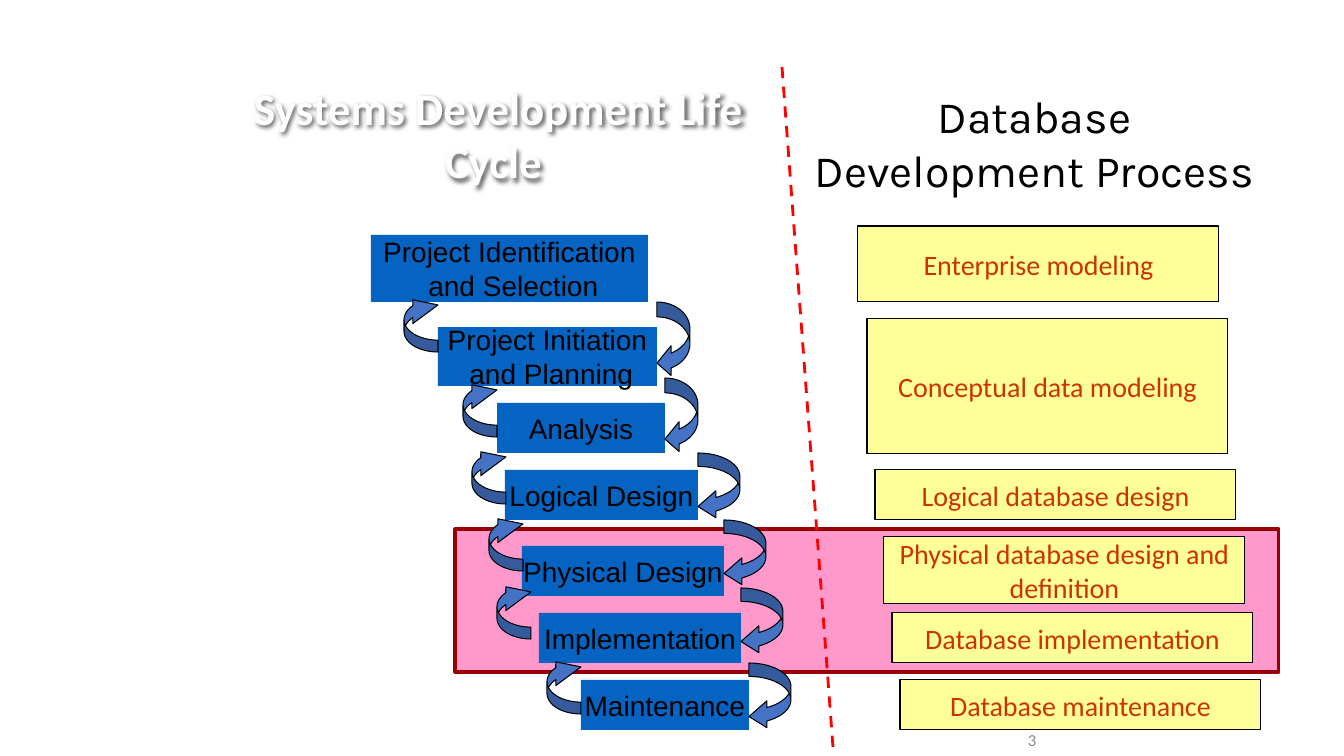
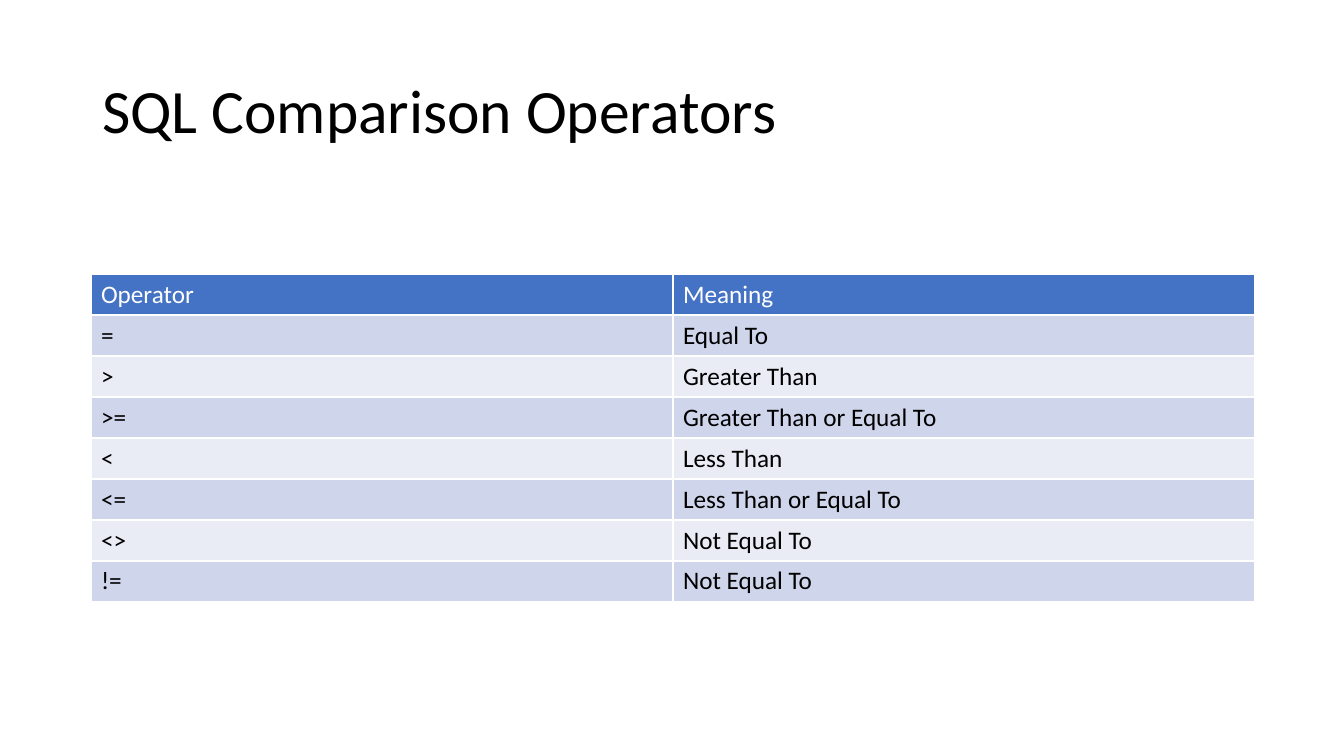
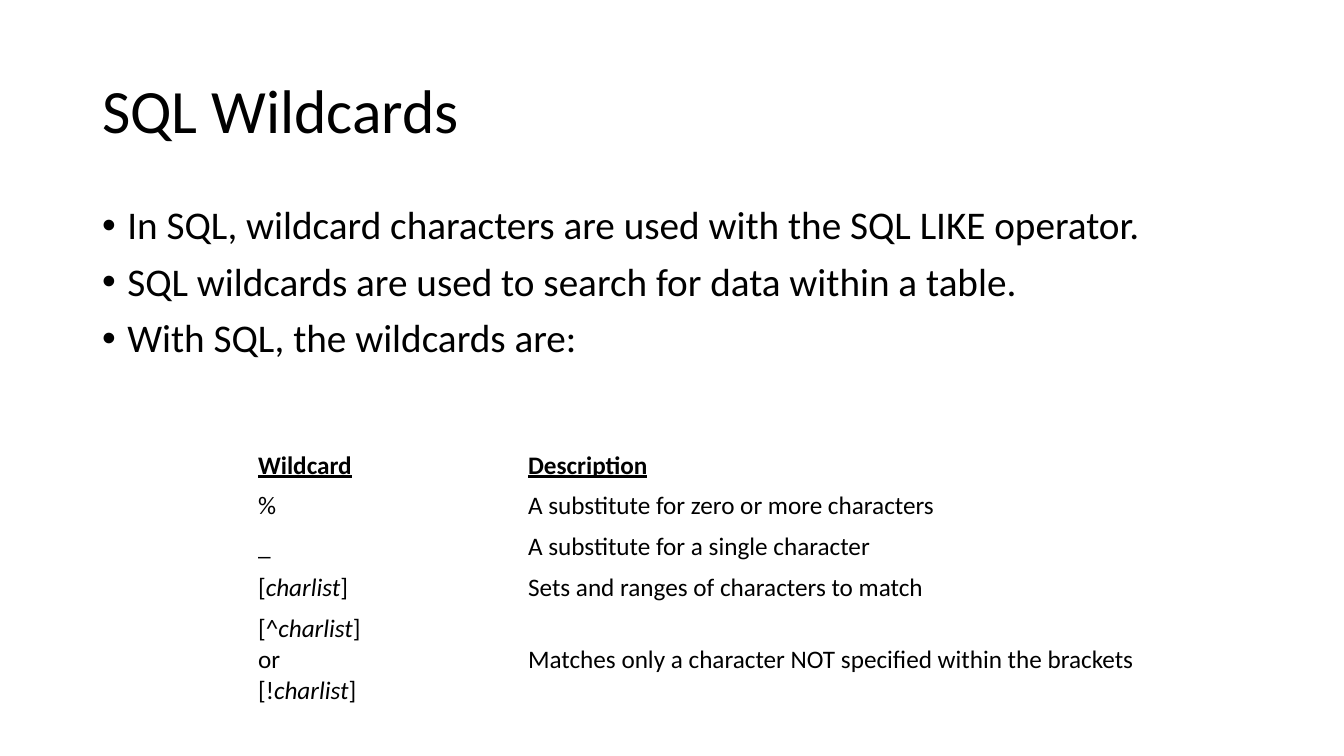
from lxml import etree
from pptx import Presentation
from pptx.dml.color import RGBColor
from pptx.enum.dml import MSO_LINE
from pptx.enum.shapes import MSO_CONNECTOR, MSO_SHAPE
from pptx.enum.text import MSO_ANCHOR, MSO_AUTO_SIZE, PP_ALIGN
from pptx.oxml.ns import qn
from pptx.util import Emu, Pt

PIXEL = 914400 / 100.8
COLORS = {
    "black": "000000", "white": "FFFFFF", "heading": "FEFEFE", "grey": "8C8C8C",
    "step": "0563C1", "arrow": "4472C4", "band": "FF99CC", "band_edge": "990000",
    "model": "FFFF99", "model_text": "CC3300", "divider": "FF0000",
    "header": "4472C4", "odd_row": "CFD5EA", "even_row": "E9EBF5",
}
RGB = {name: RGBColor.from_string(value) for name, value in COLORS.items()}

TITLE = {"name": "Calibri", "size": Pt(44), "color": "black"}
LIST = {**TITLE, "size": Pt(28)}
CELL = {**TITLE, "size": Pt(18), "bold": False}
CYCLE = {"name": "Calibri", "size": Pt(32), "bold": True, "color": "heading"}
PROCESS = {"name": "Karla", "size": Pt(32), "color": "black"}
STEP = {"name": "Arial", "size": Pt(20), "color": "black"}
MODEL = {"name": "Calibri", "size": Pt(20), "color": "model_text"}
NUMBER = {"name": "Calibri", "size": Pt(12), "color": "grey"}

CENTER = {"alignment": PP_ALIGN.CENTER}
TIGHT = {"alignment": PP_ALIGN.LEFT, "line_spacing": 0.9}
MIDDLE = {"vertical_anchor": MSO_ANCHOR.MIDDLE, "word_wrap": True,
          "auto_size": MSO_AUTO_SIZE.NONE}
BOTTOM = {**MIDDLE, "vertical_anchor": MSO_ANCHOR.BOTTOM}
TOP = {**MIDDLE, "vertical_anchor": MSO_ANCHOR.TOP}
UNWRAPPED = {**MIDDLE, "word_wrap": False}


def px(*lengths):
    """Turn pixel lengths into a list of EMU lengths."""
    return [Emu(round(length * PIXEL)) for length in lengths]


def write(frame, text, font, paragraph_format, frame_format):
    """Fill a frame: \\n parts paragraphs, \\v parts lines, * encloses italics."""
    for key, value in frame_format.items():
        setattr(frame, key, value)
    for number, content in enumerate(text.split("\n")):
        paragraph = frame.add_paragraph() if number else frame.paragraphs[0]
        for key, value in paragraph_format.items():
            setattr(paragraph, key, value)
        for row, line in enumerate(content.split("\v")):
            if row:
                paragraph.add_line_break()
            for part, words in enumerate(line.split("*")):
                if not words:
                    continue
                run = paragraph.add_run()
                run.text = words
                for key, value in font.items():
                    if key == "color":
                        run.font.color.rgb = RGB[value]
                    else:
                        setattr(run.font, key, value)
                if part % 2:
                    run.font.italic = True


deck = Presentation()
deck.slide_width, deck.slide_height = px(1344, 756)

# Slides and their titles
TITLE_ONLY, TITLE_AND_BODY = deck.slide_layouts[5], deck.slide_layouts[1]
TITLE_AREA = (92, 41, 1159, 146)
slides = []
for layout, heading, area, font, paragraph_format, frame_format in [
    (TITLE_ONLY, "Systems Development Life Cycle ", (231, 92, 535, 101), CYCLE, CENTER, BOTTOM),
    (TITLE_ONLY, "SQL Comparison Operators", TITLE_AREA, TITLE, TIGHT, MIDDLE),
    (TITLE_AND_BODY, "SQL Wildcards", TITLE_AREA, TITLE, TIGHT, MIDDLE),
]:
    slide = deck.slides.add_slide(layout)
    title = slide.shapes.title
    title.left, title.top, title.width, title.height = px(*area)
    write(title.text_frame, heading, font, paragraph_format, frame_format)
    slides.append(slide)
process_slide, operators_slide, wildcards_slide = slides

# Slide 1: life cycle beside database development
cycle_heading = process_slide.shapes.title
cycle_heading.fill.background()
effects = etree.SubElement(cycle_heading._element.spPr, qn("a:effectLst"))
shadow = etree.SubElement(effects, qn("a:outerShdw"), blurRad="38100", dist="25400",
                          dir="2700000", algn="tl", rotWithShape="0")
shade = etree.SubElement(shadow, qn("a:srgbClr"), val=COLORS["black"])
etree.SubElement(shade, qn("a:alpha"), val="60000")

for text, area, font, paragraph_format in [
    ("Database Development Process", (799, 92, 471, 101), PROCESS, CENTER),
    ("3", (1018, 714, 235, 52), NUMBER, {}),
]:
    label = process_slide.shapes.add_textbox(*px(*area))
    write(label.text_frame, text, font, paragraph_format, MIDDLE)

steps = [
    ("Project Identification\n and Selection", 371, 235, 277, 67),
    ("Project Initiation\n and Planning", 438, 327, 219, 59),
    ("Analysis", 497, 403, 168, 50),
    ("Logical Design", 505, 470, 193, 50),
    ("Physical Design", 522, 546, 202, 50),
    ("Implementation", 539, 613, 202, 50),
    ("Maintenance", 581, 680, 168, 50),
]
models = [
    ("Enterprise modeling", 226, 76),
    ("Conceptual data modeling", 319, 135),
    ("Logical database design", 470, 50),
    ("Physical database design and definition", 537, 67),
    ("Database implementation", 613, 50),
    ("Database maintenance", 680, 50),
]
# Top of the forward arrow, then left and top of the backward arrow
arrows = [(302, 404, 293), (378, 463, 378), (453, 472, 445),
          (520, 489, 512), (588, 497, 580), (663, 547, 655)]
LONG, WIDE, BACK = (0.45, 0.9, 0.427), (0.32, 0.64, 0.427), (0.35, 0.7, 0.742)

boxes = [((455, 529, 824, 143), "band", "band_edge", 2.25, "", None)]
boxes += [(area, "step", None, 0, text, STEP) for text, *area in steps]
boxes += [((858 + (42 * order + 4) // 5, top, 361, height), "model", "black", 0.75, text, MODEL)
          for order, (text, top, height) in enumerate(models)]
curves = []
for order, (forward_top, back_left, back_top) in enumerate(arrows):
    _, left, _, width, _ = steps[order + 1]
    size, bend = ((33, 76), LONG) if order < 2 else ((42, 67), WIDE)
    curves.append(((left + width, forward_top, *size), bend, 0))
    curves.append(((back_left, back_top, 34, 59), BACK, 180))

for area, fill, edge, weight, text, font in boxes:
    box = process_slide.shapes.add_shape(MSO_SHAPE.RECTANGLE, *px(*area))
    box.shadow.inherit = False
    box.fill.solid()
    box.fill.fore_color.rgb = RGB[fill]
    if edge:
        box.line.color.rgb = RGB[edge]
        box.line.width = Pt(weight)
    else:
        box.line.fill.background()
    if text:
        write(box.text_frame, text, font, CENTER, UNWRAPPED if font is STEP else MIDDLE)

for area, bend, turn in curves:
    arrow = process_slide.shapes.add_shape(MSO_SHAPE.CURVED_LEFT_ARROW, *px(*area))
    arrow.shadow.inherit = False
    arrow.rotation = turn
    for position, value in enumerate(bend):
        arrow.adjustments[position] = value
    arrow.fill.solid()
    arrow.fill.fore_color.rgb = RGB["arrow"]
    arrow.line.color.rgb = RGB["black"]
    arrow.line.width = Pt(0.75)

divider = process_slide.shapes.add_connector(MSO_CONNECTOR.STRAIGHT, *px(782, 67, 833, 747))
divider.line.color.rgb = RGB["divider"]
divider.line.width = Pt(2)
divider.line.dash_style = MSO_LINE.DASH
etree.SubElement(divider._element.spPr, qn("a:effectLst"))

# Slide 3: list above the table
body = wildcards_slide.placeholders[1]
body.left, body.top, body.width, body.height = px(92, 201, 1159, 480)
write(body.text_frame,
      "In SQL, wildcard characters are used with the SQL LIKE operator.\n"
      "SQL wildcards are used to search for data within a table.\n"
      "With SQL, the wildcards are:",
      LIST, {**TIGHT, "space_before": Pt(10)}, TOP)
for paragraph in body.text_frame.paragraphs:
    properties = paragraph._p.get_or_add_pPr()
    properties.set("marL", "228600")
    properties.set("indent", "-228600")

# Slides 2 and 3: tables
operators = [
    ("Operator", "Meaning"),
    ("=", "Equal To"),
    (">", "Greater Than"),
    (">=", "Greater Than or Equal To"),
    ("<", "Less Than"),
    ("<=", "Less Than or Equal To"),
    ("<>", "Not Equal To"),
    ("!=", "Not Equal To"),
]
wildcards = [
    ("Wildcard", "Description"),
    ("%", "A substitute for zero or more characters"),
    ("_", "A substitute for a single character"),
    ("[*charlist*]", "Sets and ranges of characters to match"),
    ("[^*charlist*]\vor\v[!*charlist*]",
     "Matches only a character NOT specified within the brackets"),
]
NO_STYLE = "{2D5ABB26-0587-4C30-8999-92F81FD0307C}"
for slide, rows, corner, widths, heights, header_font, filled in [
    (operators_slide, operators, (91, 274), (582, 582), [41] * 8,
     {**CELL, "color": "white"}, True),
    (wildcards_slide, wildcards, (248, 445), (270, 736), [40] * 4 + [101],
     {**CELL, "bold": True, "underline": True}, False),
]:
    table = slide.shapes.add_table(
        len(rows), len(widths), *px(*corner, sum(widths), sum(heights))).table
    for column, width in zip(table.columns, px(*widths)):
        column.width = width
    for row, height in zip(table.rows, px(*heights)):
        row.height = height
    if not filled:
        table.first_row = table.horz_banding = False
        table._tbl.tblPr.find(qn("a:tableStyleId")).text = NO_STYLE
    for order, texts in enumerate(rows):
        shade = "odd_row" if order % 2 else "even_row" if order else "header"
        for cell, text in zip(table.rows[order].cells, texts):
            write(cell.text_frame, text, CELL if order else header_font, {}, {})
            if filled:
                cell.fill.solid()
                cell.fill.fore_color.rgb = RGB[shade]
            else:
                cell.fill.background()
                cell.vertical_anchor = MSO_ANCHOR.MIDDLE

deck.save("out.pptx")
